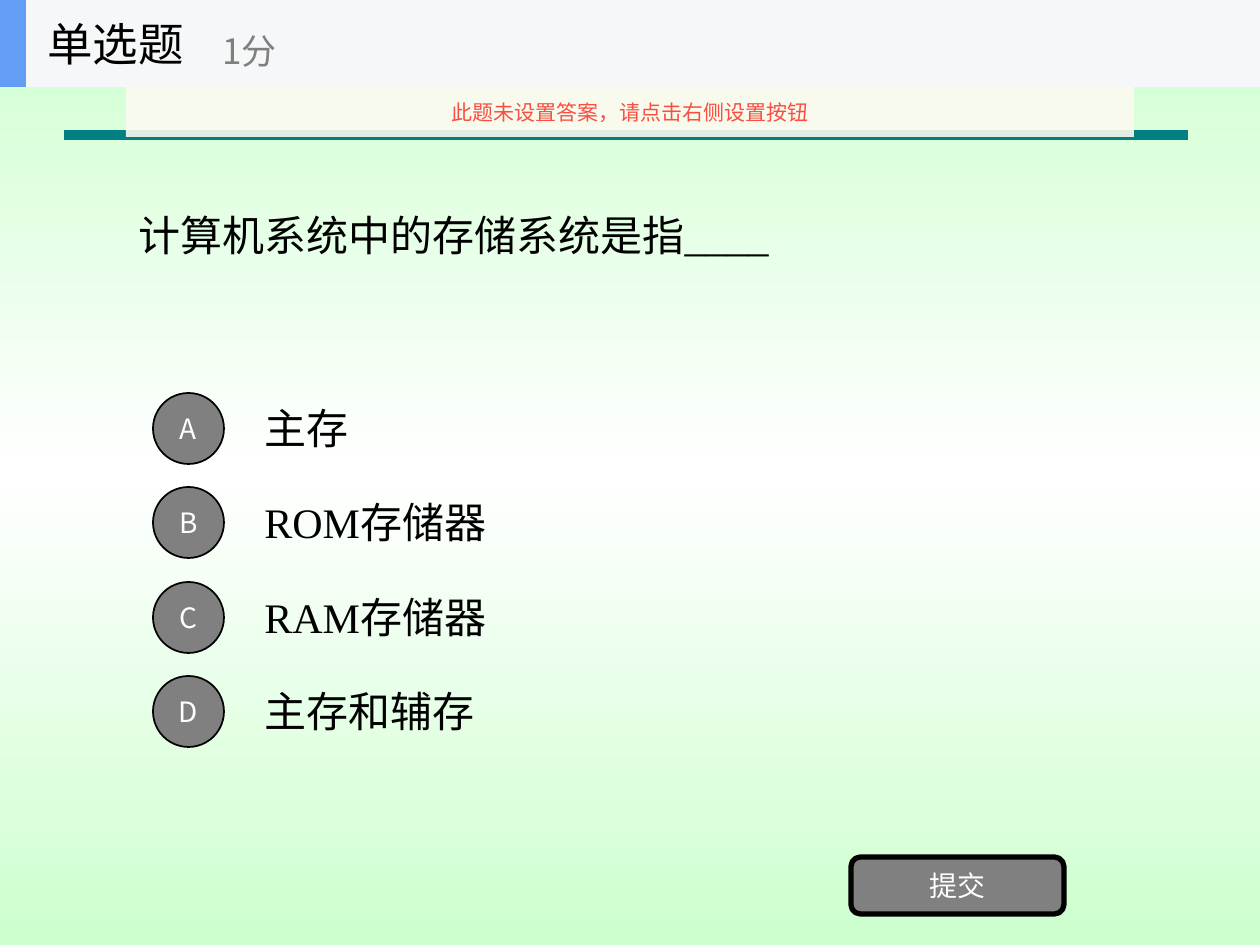
from copy import deepcopy

from lxml.etree import SubElement
from pptx import Presentation
from pptx.dml.color import RGBColor
from pptx.enum.shapes import MSO_CONNECTOR, MSO_SHAPE
from pptx.enum.text import MSO_ANCHOR, MSO_AUTO_SIZE, PP_ALIGN
from pptx.oxml.ns import qn
from pptx.util import Pt

PX = 914400 / 126
SANS = "Noto Sans CJK SC"
SERIF = "Times New Roman"
BLACK = RGBColor(0x00, 0x00, 0x00)
WHITE = RGBColor(0xFF, 0xFF, 0xFF)
GRAY = RGBColor(0x80, 0x80, 0x80)
MINT = RGBColor(0xCD, 0xFF, 0xCE)
TEAL = RGBColor(0x00, 0x80, 0x80)
BLUE = RGBColor(0x63, 0x9E, 0xF4)
PALE = RGBColor(0xF6, 0xF7, 0xF8)
CREAM = RGBColor(0xFB, 0xFA, 0xEF)
RED = RGBColor(0xF8, 0x4F, 0x41)


def px(*lengths):
    return [round(length * PX) for length in lengths]


class QuizSlide:
    def __init__(self, deck):
        self.slide = deck.slides.add_slide(deck.slide_layouts[5])
        self.shapes = self.slide.shapes

    def background(self, colors):
        fill = self.slide.background.fill
        fill.gradient()
        fill.gradient_angle = 90
        stops = self.slide.element.find(".//" + qn("a:gsLst"))
        while len(stops) < len(colors):
            stops.append(deepcopy(stops[0]))
        for index, (stop, color) in enumerate(zip(fill.gradient_stops, colors)):
            stop.color.rgb = color
            stop.position = index / (len(colors) - 1)

    def rule(self, left, right, y, color, width):
        rule = self.shapes.add_connector(MSO_CONNECTOR.STRAIGHT, *px(left, y, right, y))
        rule.line.color.rgb = color
        rule.line.width = Pt(width)
        SubElement(rule.element.spPr, qn("a:effectLst"))

    def put_words(self, holder, words, size, color, font, align=PP_ALIGN.LEFT, wrap=False):
        frame = holder.text_frame
        frame.auto_size = MSO_AUTO_SIZE.NONE
        frame.word_wrap = wrap
        frame.vertical_anchor = MSO_ANCHOR.MIDDLE
        paragraph = frame.paragraphs[0]
        paragraph.alignment = align
        run = paragraph.add_run()
        run.text = words
        run.font.size = Pt(size)
        run.font.color.rgb = color
        run.font.name = font
        properties = paragraph.runs[0].font._element
        SubElement(properties, qn("a:ea"), typeface=SANS)

    def title(self, words, box):
        title = self.slide.shapes.title
        title.left, title.top, title.width, title.height = px(*box)
        self.put_words(title, words, 24, BLACK, SERIF, wrap=True)

    def text(self, words, box, size, color=BLACK, font=SANS, wrap=False):
        self.put_words(self.shapes.add_textbox(*px(*box)), words, size, color, font, wrap=wrap)

    def block(self, box, fill, kind=MSO_SHAPE.RECTANGLE, border=0, alpha=100):
        block = self.shapes.add_shape(kind, *px(*box))
        block.shadow.inherit = False
        block.fill.solid()
        block.fill.fore_color.rgb = fill
        if alpha < 100:
            color = block.element.spPr.find(".//" + qn("a:srgbClr"))
            SubElement(color, qn("a:alpha"), val=str(alpha * 1000))
        if border:
            block.line.color.rgb = BLACK
            block.line.width = Pt(border)
        else:
            block.line.fill.background()
        return block

    def button(self, words, box, kind, border):
        button = self.block(box, GRAY, kind, border)
        self.put_words(button, words, 16, WHITE, SANS, PP_ALIGN.CENTER)

    def banner(self, words, box):
        banner = self.block(box, CREAM, alpha=90)
        self.put_words(banner, words, 12, RED, SANS, PP_ALIGN.CENTER)

    def header(self, kind, score):
        self.shapes = self.slide.shapes.add_group_shape().shapes
        self.block((0, 0, 1260, 87), PALE)
        self.block((0, 0, 26, 87), BLUE)
        self.text(kind, (35, 0, 262, 87), 26)
        self.text(score, (210, 15, 315, 71), 20, GRAY)
        self.shapes = self.slide.shapes


def main():
    deck = Presentation()
    deck.slide_width, deck.slide_height = px(1260, 945)
    quiz = QuizSlide(deck)
    quiz.background([MINT, WHITE, MINT])
    quiz.title("计算机系统中的存储系统是指____", (126, 87, 1008, 295))
    quiz.rule(64, 1188, 135, TEAL, 6)

    answers = ["主存", "ROM存储器", "RAM存储器", "主存和辅存"]
    for index, (letter, answer) in enumerate(zip("ABCD", answers)):
        top = 384 + index * 189 // 2
        quiz.text(answer, (252, top, 882, 88), 24, font=SERIF, wrap=True)
        quiz.button(letter, (153, top + 9, 71, 71), MSO_SHAPE.OVAL, 1)

    quiz.button("提交", (851, 857, 213, 57), MSO_SHAPE.ROUNDED_RECTANGLE, 3)
    quiz.header("单选题", "1分")
    quiz.banner("此题未设置答案，请点击右侧设置按钮", (126, 87, 1008, 50))
    deck.save("out.pptx")


if __name__ == "__main__":
    main()
